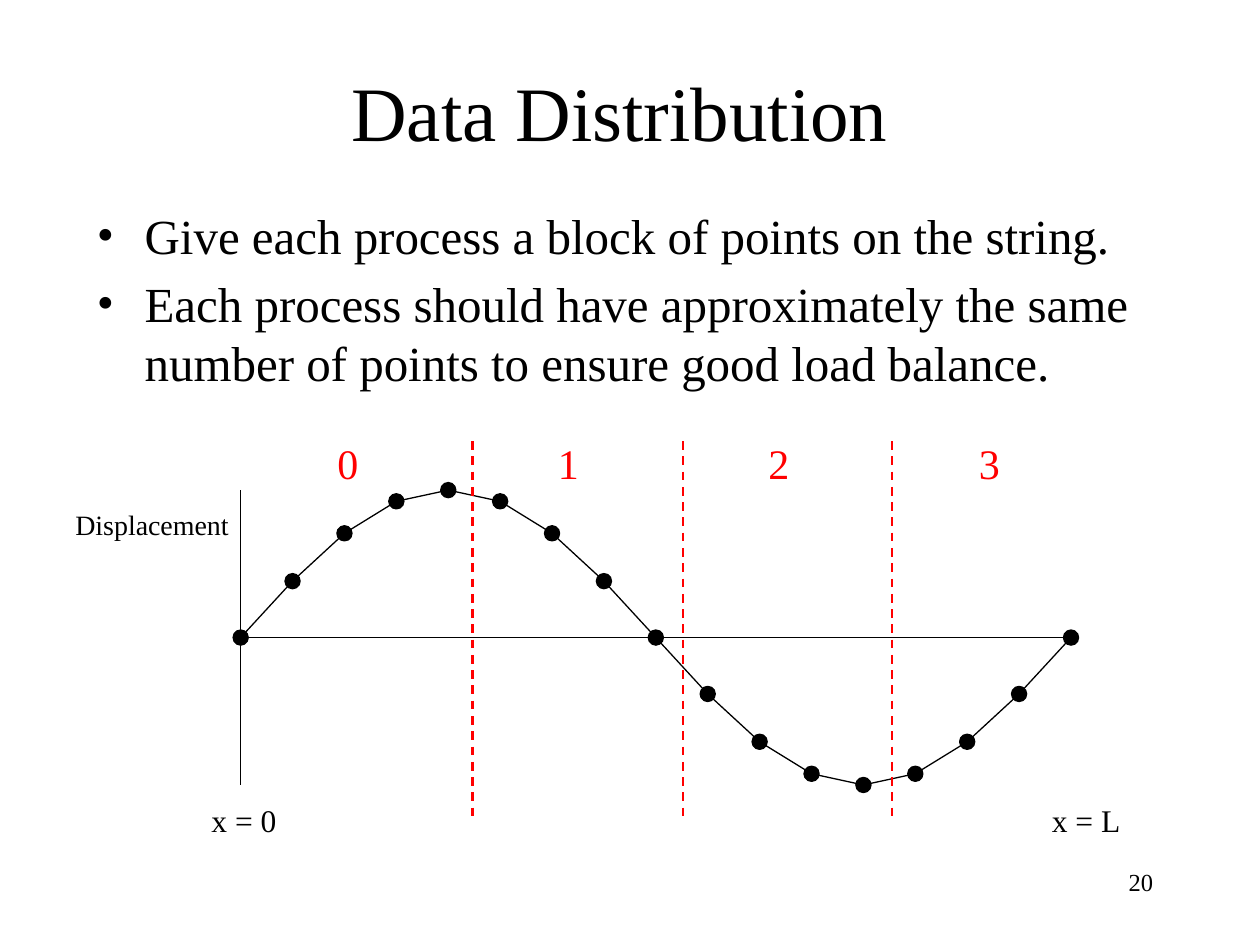
import itertools
import math

import lxml.etree
import pptx
import pptx.dml.color
import pptx.enum.dml
import pptx.enum.shapes
import pptx.enum.text
import pptx.oxml.ns
import pptx.util

Inches = pptx.util.Inches
Pt = pptx.util.Pt
Align = pptx.enum.text.PP_ALIGN
AutoSize = pptx.enum.text.MSO_AUTO_SIZE
qn = pptx.oxml.ns.qn

COLORS = {"ink": "000000", "process": "FF0000"}


class SlideBuilder:
    font = "Times New Roman"
    dot_size = 0.12

    def __init__(self, slide):
        self.slide = slide

    def color(self, name):
        return pptx.dml.color.RGBColor.from_string(COLORS[name])

    def format_text(self, text_frame, size, color, align):
        for paragraph in text_frame.paragraphs:
            paragraph.alignment = align
            for run in paragraph.runs:
                run.font.name = self.font
                run.font.size = Pt(size)
                run.font.color.rgb = self.color(color)

    def title(self, text, left, top, width, height):
        title = self.slide.shapes.title
        title.left, title.top = Inches(left), Inches(top)
        title.width, title.height = Inches(width), Inches(height)
        text_frame = title.text_frame
        text_frame.text = text
        text_frame.auto_size = AutoSize.NONE
        text_frame.vertical_anchor = pptx.enum.text.MSO_ANCHOR.MIDDLE
        self.format_text(text_frame, 44, "ink", Align.CENTER)

    def text(self, text, left, top, width, height, size, color="ink", align=Align.LEFT, wrap=True):
        box = self.slide.shapes.add_textbox(Inches(left), Inches(top), Inches(width), Inches(height))
        text_frame = box.text_frame
        text_frame.text = text
        text_frame.word_wrap = wrap
        text_frame.auto_size = AutoSize.NONE if wrap else AutoSize.SHAPE_TO_FIT_TEXT
        self.format_text(text_frame, size, color, align)
        return text_frame

    def bullets(self, items, left, top, width, height, size):
        text_frame = self.text("\n".join(items), left, top, width, height, size)
        for paragraph in text_frame.paragraphs:
            paragraph.space_before = Pt(size * 0.2)
            properties = paragraph._p.get_or_add_pPr()
            properties.set("marL", str(Inches(0.38)))
            properties.set("indent", str(Inches(-0.38)))
            lxml.etree.SubElement(properties, qn("a:buFont")).set("typeface", self.font)
            lxml.etree.SubElement(properties, qn("a:buChar")).set("char", "•")

    def line(self, start, end, color="ink", width=0.75, dash=None):
        connector = self.slide.shapes.add_connector(
            pptx.enum.shapes.MSO_CONNECTOR.STRAIGHT, *map(Inches, start + end)
        )
        connector.line.color.rgb = self.color(color)
        connector.line.width = Pt(width)
        if dash:
            connector.line.dash_style = dash
        lxml.etree.SubElement(connector._element.spPr, qn("a:effectLst"))

    def dot(self, center):
        left, top = (Inches(value - self.dot_size / 2) for value in center)
        size = Inches(self.dot_size)
        dot = self.slide.shapes.add_shape(pptx.enum.shapes.MSO_SHAPE.OVAL, left, top, size, size)
        dot.shadow.inherit = False
        dot.fill.solid()
        dot.fill.fore_color.rgb = self.color("ink")
        dot.line.color.rgb = self.color("ink")
        dot.line.width = Pt(0.75)


def main():
    presentation = pptx.Presentation()
    presentation.slide_width = Inches(10)
    presentation.slide_height = Inches(7.5)
    builder = SlideBuilder(presentation.slides.add_slide(presentation.slide_layouts[5]))

    builder.text("20", 7.17, 6.83, 2.08, 0.5, 14, align=Align.RIGHT)
    builder.title("Data Distribution", 0.67, 0.25, 8.5, 1.25)
    builder.bullets(
        [
            "Give each process a block of points on the string.",
            "Each process should have approximately the same number of points to ensure good load balance.",
        ],
        0.67, 1.58, 8.5, 1.92, 28,
    )

    string_start, string_end, rest, amplitude, intervals = 1.91, 8.5, 5.06, 1.17, 16
    builder.line((string_start, rest - amplitude), (string_start, rest + amplitude))
    builder.line((string_start, rest), (string_end, rest))

    step = (string_end - string_start) / intervals
    points = [
        (string_start + step * index, rest - amplitude * math.sin(2 * math.pi * index / intervals))
        for index in range(intervals + 1)
    ]
    for point in points:
        builder.dot(point)
    for start, end in itertools.pairwise(points):
        builder.line(start, end)

    builder.text("Displacement", 0.5, 3.98, 1.43, 0.37, 16, wrap=False)
    builder.text("x = 0", 1.58, 6.31, 0.72, 0.4, 18, wrap=False)
    builder.text("x = L", 8.25, 6.31, 0.76, 0.4, 18, wrap=False)

    for boundary in (3.75, 5.42, 7.08):
        builder.line(
            (boundary, 3.5), (boundary, 6.5), "process", 1.25, pptx.enum.dml.MSO_LINE.DASH
        )
    for process, left in enumerate((2.58, 4.33, 6, 7.67)):
        builder.text(str(process), left, 3.42, 0.42, 0.5, 24, "process")

    presentation.save("out.pptx")


if __name__ == "__main__":
    main()
